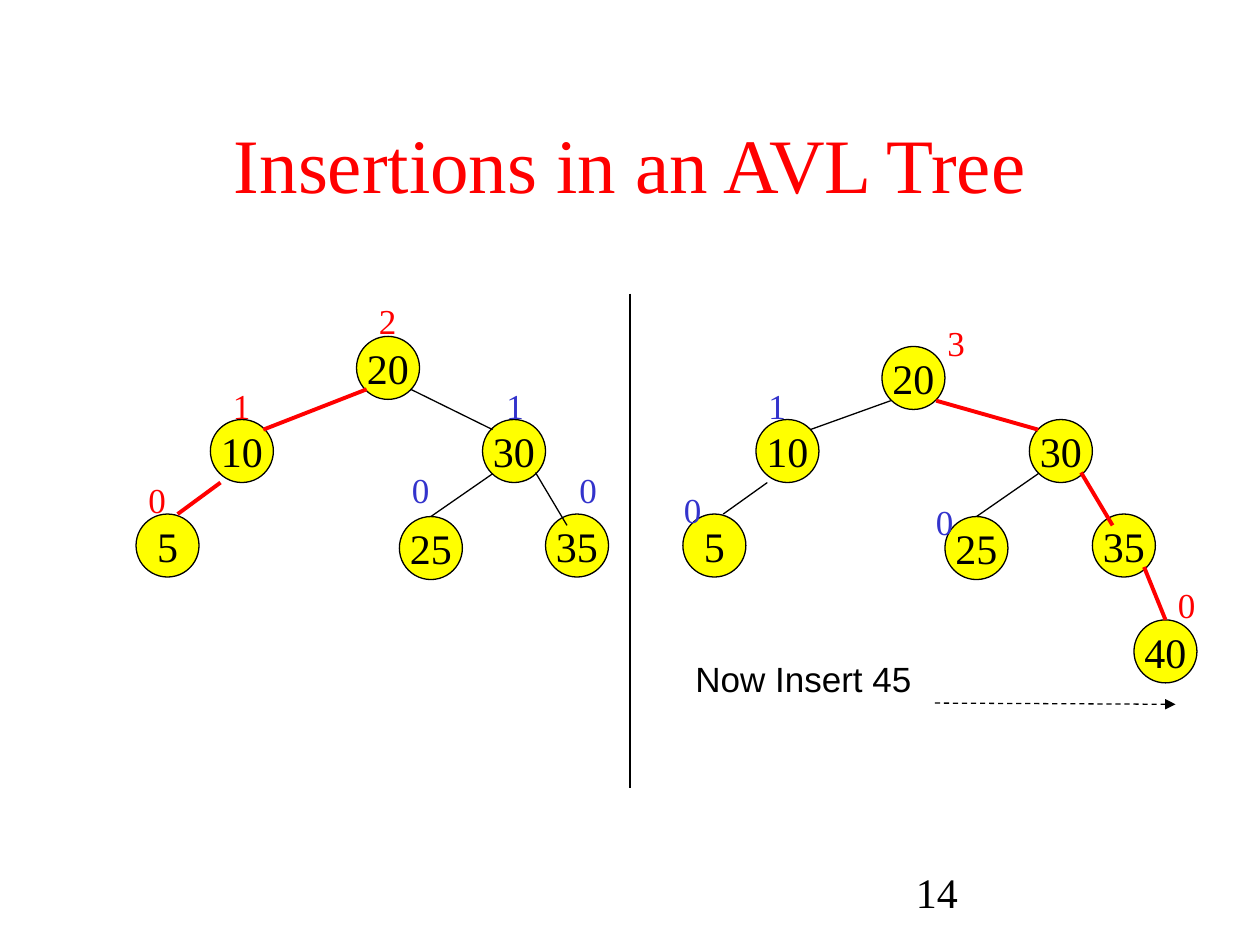
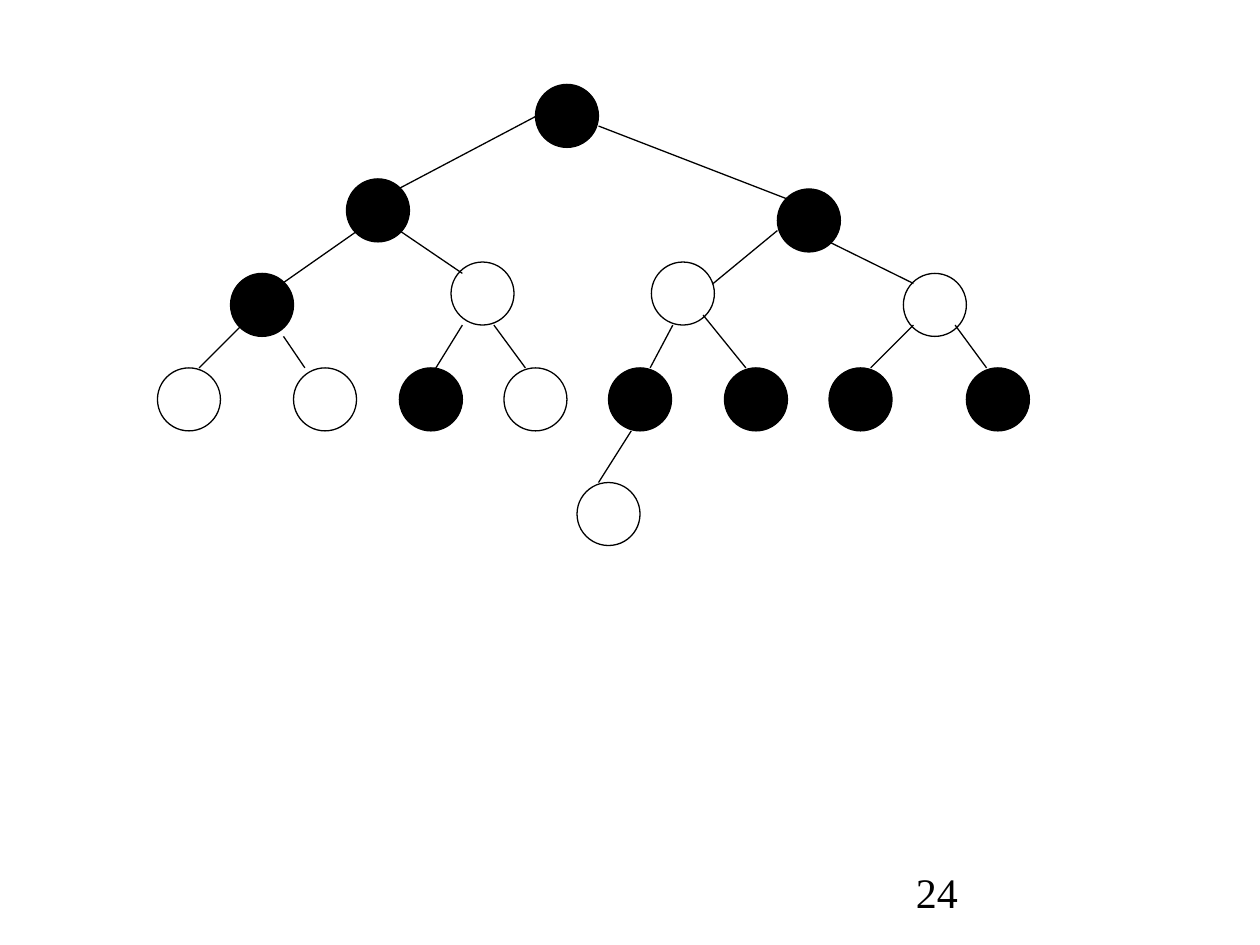
from pptx import Presentation
from pptx.dml.color import RGBColor
from pptx.enum import dml, shapes, text
from pptx.oxml import ns, xmlchemy
from pptx.util import Inches, Pt

BLACK = RGBColor(0, 0, 0)
WHITE = RGBColor(255, 255, 255)
RED = RGBColor(255, 0, 0)
BLUE = RGBColor(0x33, 0x33, 0xCC)
GOLD = RGBColor(255, 255, 0)
SERIF, SANS = "Times New Roman", "Arial"
NODE = 0.5
THIN, BOLD = 0.75, 2.25
MID = {"vertical_anchor": text.MSO_ANCHOR.MIDDLE}
TOP = {"vertical_anchor": text.MSO_ANCHOR.TOP}


def write(shape, words, size, color=BLACK, face=SERIF, frame=TOP,
          align=text.PP_ALIGN.LEFT, wrap=True):
    body = shape.text_frame
    for key, val in {"word_wrap": wrap, **frame}.items():
        setattr(body, key, val)
    for side, gap in {"left": 0.1, "right": 0.1, "top": 0.05, "bottom": 0.05}.items():
        setattr(body, f"margin_{side}", Inches(gap))
    para = body.paragraphs[0]
    para.alignment = align
    run = para.add_run()
    run.text = words
    for key, val in {"size": Pt(size), "name": face}.items():
        setattr(run.font, key, val)
    run.font.color.rgb = color


def link(slide, ends, color=BLACK, width=THIN):
    line = slide.shapes.add_connector(
        shapes.MSO_CONNECTOR.STRAIGHT, *[Inches(n) for n in ends])
    line.line.color.rgb = color
    line.line.width = Pt(width)
    xmlchemy.OxmlElement  # element factory used for the effect list below
    line._element.spPr.append(xmlchemy.OxmlElement("a:effectLst"))
    return line


# Nodes: left, top, fill, key
avl_nodes = [(x, y, GOLD, key) for x, y, key in [
    (2.83, 2.67, "20"), (1.67, 3.33, "10"), (3.83, 3.33, "30"),
    (1.08, 4.08, "5"), (3.17, 4.1, "25"), (4.33, 4.08, "35"),
    (7, 2.75, "20"), (6, 3.33, "10"), (8.17, 3.33, "30"),
    (5.42, 4.08, "5"), (7.5, 4.1, "25"), (8.67, 4.08, "35"),
    (9, 4.92, "40")]]
tree_nodes = [(x, y, fill, "") for x, y, fill in [
    (4.25, 0.67, BLACK),
    (2.75, 1.42, BLACK), (6.17, 1.5, BLACK),
    (1.83, 2.17, BLACK), (3.58, 2.08, WHITE),
    (5.17, 2.08, WHITE), (7.17, 2.17, WHITE),
    (4.58, 3.83, WHITE)]]
leaves = {1.25: WHITE, 2.33: WHITE, 3.17: BLACK, 4: WHITE,
          4.83: BLACK, 5.75: BLACK, 6.58: BLACK, 7.67: BLACK}
tree_nodes += [(x, 2.92, fill, "") for x, fill in leaves.items()]

# Edges: x1, y1, x2, y2; the insertion path is drawn in bold red
plain = [
    (3.26, 3.09, 3.91, 3.41), (3.91, 3.76, 3.42, 4.1), (4.25, 3.75, 4.5, 4.17),
    (7.07, 3.18, 6.43, 3.41), (8.24, 3.76, 7.75, 4.1), (6.09, 3.83, 5.74, 4.08),
    (5, 2.33, 5, 6.25)]
route = [
    (2.91, 3.09, 2.09, 3.41), (1.75, 3.83, 1.41, 4.08), (7.43, 3.18, 8.24, 3.41),
    (8.58, 3.75, 8.83, 4.17), (9.08, 4.5, 9.25, 4.92)]
limbs = [
    (4.26, 0.92, 3.16, 1.5), (4.75, 1, 6.25, 1.58),
    (2.84, 1.83, 2.24, 2.25), (3.17, 1.83, 3.67, 2.17),
    (6.17, 1.83, 5.66, 2.25), (6.58, 1.92, 7.25, 2.25),
    (1.92, 2.58, 1.58, 2.92), (2.25, 2.67, 2.42, 2.92),
    (3.67, 2.58, 3.41, 3), (3.92, 2.58, 4.17, 2.92),
    (5.34, 2.58, 5.16, 2.92), (5.58, 2.5, 5.92, 2.92),
    (7.25, 2.58, 6.91, 2.92), (7.58, 2.58, 7.83, 2.92),
    (5.01, 3.42, 4.75, 3.83)]

# Heights beside the nodes: left, top, value, colour
heights = [
    (2.91, 2.33, "2", RED), (1.75, 3, "1", RED), (3.92, 3, "1", BLUE),
    (1.08, 3.75, "0", RED), (3.17, 3.67, "0", BLUE), (4.5, 3.67, "0", BLUE),
    (7.42, 2.5, "3", RED), (6, 3, "1", BLUE), (5.33, 3.83, "0", BLUE),
    (7.33, 3.92, "0", BLUE), (9.25, 4.58, "0", RED)]

deck = Presentation()
deck.slide_width, deck.slide_height = Inches(10), Inches(7.5)
pages = []
for number, nodes, thin, bold in [("14", avl_nodes, plain, route),
                                  ("24", tree_nodes, limbs, [])]:
    slide = deck.slides.add_slide(deck.slide_layouts[6])
    pages.append(slide)
    box = slide.shapes.add_textbox(Inches(7.17), Inches(6.83), Inches(2.08), Inches(0.5))
    write(box, number, 24)
    for x, y, fill, key in nodes:
        disc = slide.shapes.add_shape(
            shapes.MSO_SHAPE.OVAL, Inches(x), Inches(y), Inches(NODE), Inches(NODE))
        disc.shadow.inherit = False
        disc.fill.solid()
        disc.fill.fore_color.rgb = fill
        disc.line.color.rgb = BLACK
        disc.line.width = Pt(THIN)
        if key:
            write(disc, key, 24, frame=MID, align=text.PP_ALIGN.CENTER, wrap=False)
    for ends in thin:
        link(slide, ends)
    for ends in bold:
        link(slide, ends, RED, BOLD)

avl = pages[0]
title = avl.shapes.add_textbox(Inches(0.75), Inches(0.51), Inches(8.5), Inches(1.57))
write(title, "Insertions in an AVL Tree", 44, RED, frame=MID, align=text.PP_ALIGN.CENTER)
for x, y, value, color in heights:
    box = avl.shapes.add_textbox(Inches(x), Inches(y), Inches(0.34), Inches(0.44))
    write(box, value, 20, color)

note = avl.shapes.add_textbox(Inches(5.42), Inches(5.17), Inches(1.92), Inches(0.44))
write(note, "Now Insert 45", 20, face=SANS)
arrow = link(avl, (7.42, 5.58, 9.33, 5.59))
arrow.line.dash_style = dml.MSO_LINE.DASH
head = xmlchemy.OxmlElement("a:tailEnd")
head.set("type", "triangle")
arrow.line._get_or_add_ln().append(head)

deck.save("out.pptx")
